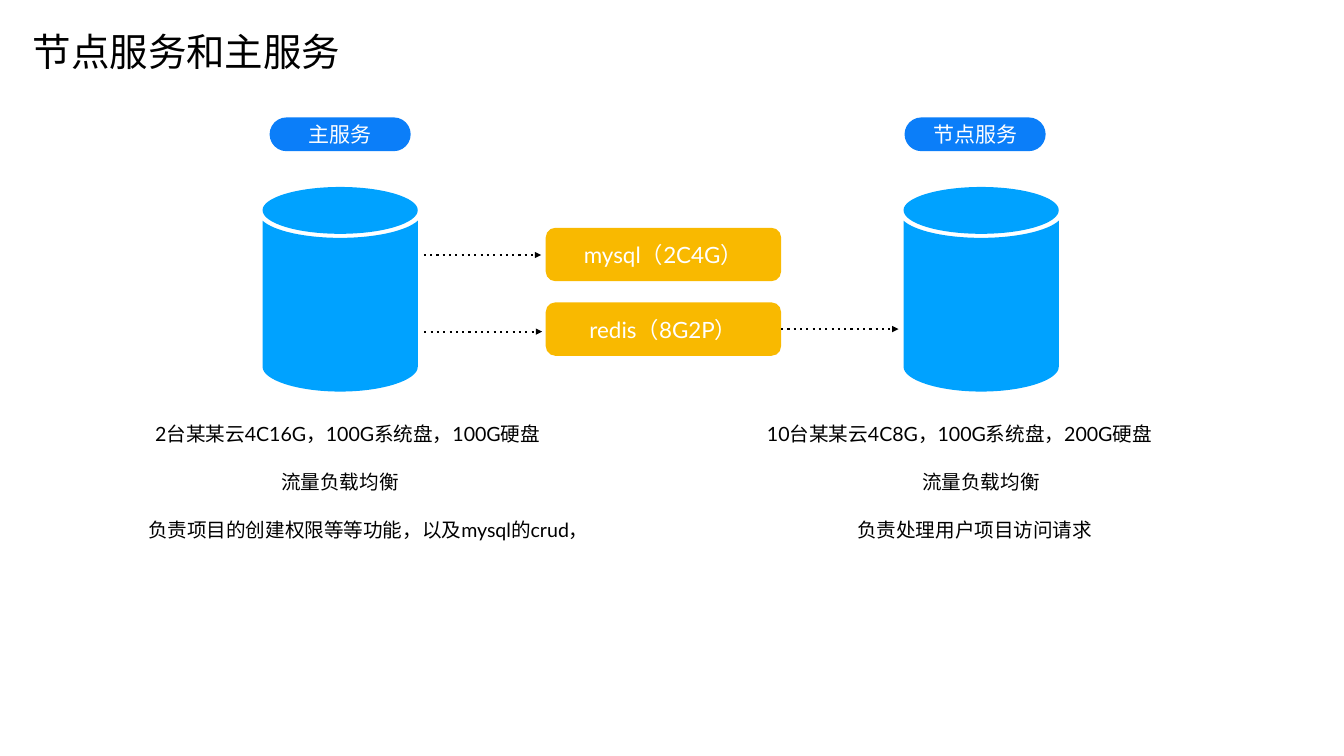
from lxml import etree
from pptx import Presentation
from pptx.dml.color import RGBColor
from pptx.enum import shapes, text
from pptx.oxml.ns import qn
from pptx.util import Inches, Pt

COLORS = {"black": "000000", "white": "FFFFFF", "cylinder": "00A2FF",
          "label": "0B7EF9", "store": "F9B900"}

presentation = Presentation()
presentation.slide_width = Inches(26.67)
presentation.slide_height = Inches(15)
slide = presentation.slides.add_slide(presentation.slide_layouts[6])


def write(shape, words, size, font, color, margin=0.06, align=None, wrap=True):
    frame = shape.text_frame
    frame.word_wrap = wrap
    frame.vertical_anchor = text.MSO_ANCHOR.MIDDLE
    frame.margin_left = frame.margin_right = Inches(margin)
    frame.margin_top = frame.margin_bottom = Inches(margin)
    paragraph = frame.paragraphs[0]
    paragraph.alignment = align or text.PP_ALIGN.LEFT
    run = paragraph.add_run()
    run.text = words
    run.font.size = Pt(size)
    run.font.name = font
    run.font.color.rgb = RGBColor.from_string(COLORS[color])
    # Chinese characters take the East Asian typeface
    etree.SubElement(run.font._element, qn("a:ea"), typeface=font)


def bend(line_elements):
    """Turn each three line segments into one Bezier curve."""
    for i in range(0, len(line_elements), 3):
        curve = etree.Element(qn("a:cubicBezTo"))
        line_elements[i].addprevious(curve)
        for line in line_elements[i:i + 3]:
            curve.append(line[0])
            line.getparent().remove(line)


# Title
title = slide.shapes.add_textbox(Inches(0.59), Inches(0.43), Inches(6.24), Inches(1.18))
write(title, "节点服务和主服务", 55, "Noto Sans CJK KR", "black", wrap=False)

# Server cylinders: offsets from the centre line, and heights on the slide
LID_START = (0, 3.71)
LID_CURVES = [(-0.85, 3.71), (-1.54, 3.92), (-1.54, 4.17),
              (-1.54, 4.43), (-0.85, 4.64), (0, 4.64),
              (0.85, 4.64), (1.54, 4.43), (1.54, 4.17),
              (1.54, 3.92), (0.85, 3.71), (0, 3.71)]
BODY_START = (-1.54, 4.38)
BODY_LEFT = [(-1.54, 7.28)]
BODY_BOTTOM = [(-1.54, 7.54), (-0.85, 7.77), (0, 7.77),
               (0.85, 7.77), (1.54, 7.54), (1.54, 7.28)]
BODY_RIGHT = [(1.54, 4.38)]
BODY_RIM = [(1.32, 4.58), (0.71, 4.72), (0, 4.72),
            (-0.71, 4.72), (-1.32, 4.58), (-1.54, 4.38)]
for center in (6.75, 19.47):
    builder = slide.shapes.build_freeform(center + LID_START[0], LID_START[1],
                                          scale=Inches(1))
    builder = slide.shapes.build_freeform(Inches(center + LID_START[0]),
                                          Inches(LID_START[1]))
    builder.add_line_segments([(Inches(center + x), Inches(y)) for x, y in LID_CURVES])
    builder.move_to(Inches(center + BODY_START[0]), Inches(BODY_START[1]))
    body = BODY_LEFT + BODY_BOTTOM + BODY_RIGHT + BODY_RIM
    builder.add_line_segments([(Inches(center + x), Inches(y)) for x, y in body])
    cylinder = builder.convert_to_shape()
    lines = list(cylinder._element.iter(qn("a:lnTo")))
    lid_end = len(LID_CURVES)
    bend(lines[:lid_end])
    bend(lines[lid_end + 1:lid_end + 7])
    bend(lines[lid_end + 8:lid_end + 14])
    cylinder.shadow.inherit = False
    cylinder.fill.solid()
    cylinder.fill.fore_color.rgb = RGBColor.from_string(COLORS["cylinder"])
    cylinder.line.fill.background()

# Service labels and data stores
boxes = [
    ("主服务", 5.35, 2.33, 2.8, 0.67, 0.5, "label", 30, "Noto Sans CJK SC", 0),
    ("节点服务", 17.95, 2.33, 2.8, 0.67, 0.5, "label", 30, "Noto Sans CJK SC", 0),
    ("mysql（2C4G）", 10.83, 4.52, 4.67, 1.06, 0.18, "store", 32, "Lato", 0.06),
    ("redis（8G2P）", 10.83, 6, 4.67, 1.06, 0.18, "store", 32, "Lato", 0.06),
]
for words, left, top, width, height, rounding, color, size, font, margin in boxes:
    box = slide.shapes.add_shape(shapes.MSO_SHAPE.ROUNDED_RECTANGLE, Inches(left),
                                 Inches(top), Inches(width), Inches(height))
    box.adjustments[0] = rounding
    box.shadow.inherit = False
    box.fill.solid()
    box.fill.fore_color.rgb = RGBColor.from_string(COLORS[color])
    box.line.fill.background()
    write(box, words, size, font, "white", margin, text.PP_ALIGN.CENTER)
redis = box

# Descriptions below the cylinders
descriptions = [
    ("2台某某云4C16G，100G系统盘，100G硬盘", 3.02, 8.27, 7.85, True),
    ("10台某某云4C8G，100G系统盘，200G硬盘", 15.16, 8.27, 7.85, True),
    ("流量负载均衡", 5.52, 9.22, 2.46, False),
    ("流量负载均衡", 18.24, 9.22, 2.46, False),
    ("负责项目的创建权限等等功能，以及mysql的crud，", 2.88, 10.16, 8.98, True),
    ("负责处理用户项目访问请求", 16.95, 10.17, 4.79, False),
]
for words, left, top, width, wrap in descriptions:
    description = slide.shapes.add_textbox(Inches(left), Inches(top),
                                           Inches(width), Inches(0.68))
    write(description, words, 28, "Lato", "black", wrap=wrap)

# Dotted arrows, with gaps twice as long as the dots
for start, end, y, source in [(8.41, 10.74, 5.06, None), (8.42, 10.76, 6.58, None),
                              (15.5, 17.83, 6.53, redis)]:
    arrow = slide.shapes.add_connector(shapes.MSO_CONNECTOR.STRAIGHT, Inches(start),
                                       Inches(y), Inches(end), Inches(y))
    if source is not None:
        arrow.begin_connect(source, 3)
    arrow.line.width = Pt(3)
    arrow.line.color.rgb = RGBColor.from_string(COLORS["black"])
    outline = arrow.line._get_or_add_ln()
    dashes = etree.SubElement(outline, qn("a:custDash"))
    etree.SubElement(dashes, qn("a:ds"), d="100000", sp="200000")
    etree.SubElement(outline, qn("a:tailEnd"), type="triangle")
    etree.SubElement(arrow._element.spPr, qn("a:effectLst"))

presentation.save("out.pptx")
